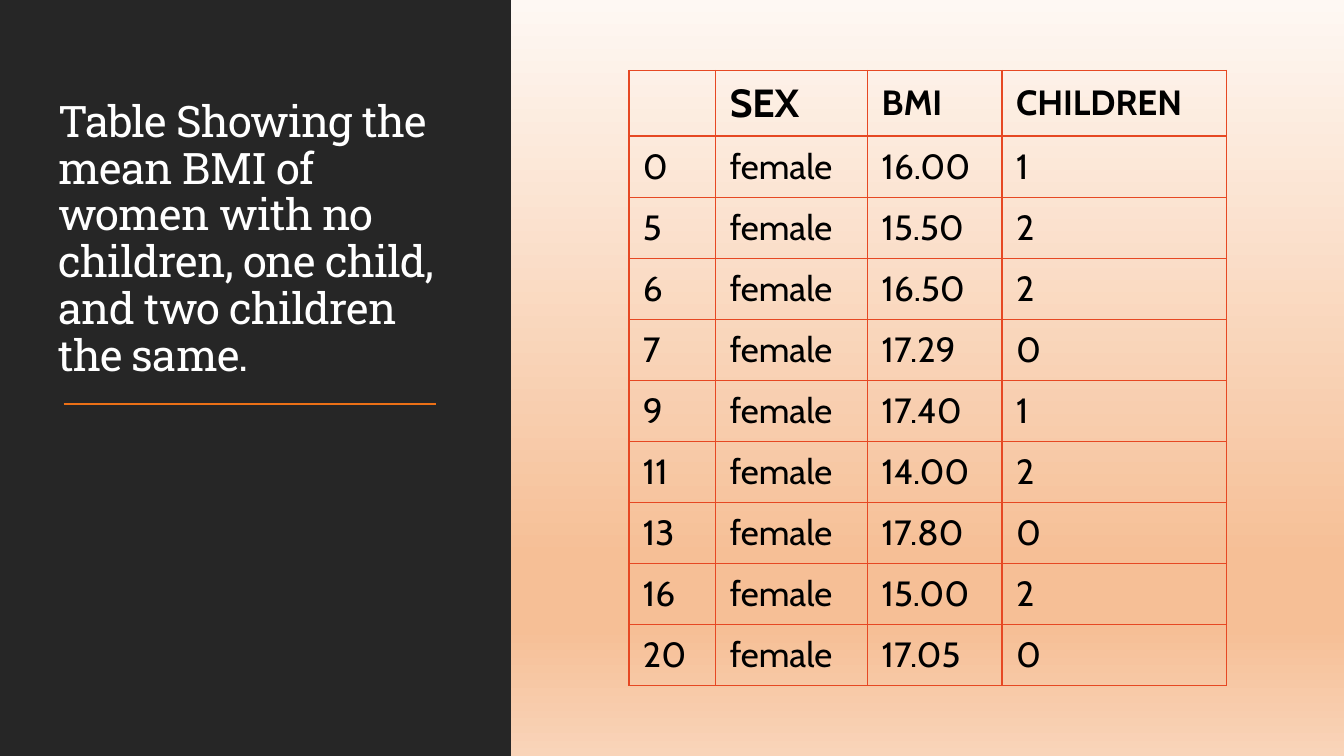
from lxml.etree import SubElement
from pptx import Presentation
from pptx.dml.color import RGBColor
from pptx.enum.shapes import MSO_CONNECTOR as CONNECTOR, MSO_SHAPE as SHAPE
from pptx.enum.text import MSO_ANCHOR as ANCHOR, MSO_AUTO_SIZE as AUTO_SIZE, PP_ALIGN as ALIGN
from pptx.oxml import parse_xml
from pptx.oxml.ns import nsdecls, qn
from pptx.util import Pt

BACKDROP_STOPS = [(0, "FEF8F3"), (74, "F6BF96"), (83, "F6BF96"), (100, "F9D4B9")]
DARK, WHITE, BLACK = "262626", "FFFFFF", "000000"
ACCENT, GRID = "EC7016", "E64823"

TITLE = ("Table Showing the mean BMI of women with no children, "
         "one child, and two children the same.")
HEADINGS = ["", "SEX", "BMI", "CHILDREN"]
RECORDS = [
    ("0", "16.00", "1"),
    ("5", "15.50", "2"),
    ("6", "16.50", "2"),
    ("7", "17.29", "0"),
    ("9", "17.40", "1"),
    ("11", "14.00", "2"),
    ("13", "17.80", "0"),
    ("16", "15.00", "2"),
    ("20", "17.05", "0"),
]
COLUMN_WIDTHS = [62, 108.5, 96, 160.5]
HEADER_HEIGHT, ROW_HEIGHT = 46.8, 43.6


def rgb(value):
    return RGBColor.from_string(value)


def set_font(paragraph, name, size, color, bold=False):
    for run in paragraph.runs:
        run.font.name = name
        run.font.size = Pt(size)
        run.font.bold = bold
        run.font.color.rgb = rgb(color)


def paint_backdrop(slide):
    fill = slide.background.fill
    fill.gradient()
    fill.gradient_angle = 270  # top to bottom
    stop_list = next(slide.element.iter(qn("a:gsLst")))
    for stop in list(stop_list):
        stop_list.remove(stop)
    for position, color in BACKDROP_STOPS:
        stop = SubElement(stop_list, qn("a:gs"), pos=str(position * 1000))
        SubElement(stop, qn("a:srgbClr"), val=color)


def add_side_panel(slide):
    panel = slide.shapes.add_shape(SHAPE.RECTANGLE, Pt(-0.7), Pt(0), Pt(365.7), Pt(540))
    panel.shadow.inherit = False
    panel.fill.solid()
    panel.fill.fore_color.rgb = rgb(DARK)
    panel.line.fill.background()
    # The panel lies behind the title
    slide.shapes.title.element.addprevious(panel.element)


def format_title(slide):
    title = slide.shapes.title
    title.left, title.top, title.width, title.height = Pt(34.6), Pt(50.4), Pt(288), Pt(225.4)
    frame = title.text_frame
    frame.text = TITLE
    frame.word_wrap = True
    frame.auto_size = AUTO_SIZE.NONE
    frame.vertical_anchor = ANCHOR.BOTTOM
    paragraph = frame.paragraphs[0]
    paragraph.alignment = ALIGN.LEFT
    paragraph.line_spacing = 0.9
    paragraph.space_before = Pt(0)
    paragraph.space_after = Pt(6)
    set_font(paragraph, "Roboto Slab", 31, WHITE)
    for run in paragraph.runs:
        run.font._element.set("spc", "-50")


def add_rule(slide, left, right, y):
    rule = slide.shapes.add_connector(CONNECTOR.STRAIGHT, Pt(left), Pt(y), Pt(right), Pt(y))
    rule.line.color.rgb = rgb(ACCENT)
    rule.line.width = Pt(1.5)
    SubElement(rule.element.spPr, qn("a:effectLst"))


def set_borders(cell, widths):
    properties = cell._tc.get_or_add_tcPr()
    for side, width in widths.items():
        properties.append(parse_xml(
            f'<a:ln{side} {nsdecls("a")} w="{Pt(width)}"><a:solidFill>'
            f'<a:srgbClr val="{GRID}"/></a:solidFill></a:ln{side}>'))


def format_cell(cell, text, row, size):
    cell.text = text
    cell.vertical_anchor = ANCHOR.MIDDLE
    cell.margin_left = cell.margin_right = Pt(10)
    cell.margin_top = cell.margin_bottom = Pt(5)
    set_font(cell.text_frame.paragraphs[0], "Cabin", size, BLACK, bold=row == 0)
    # The line under the headings is heavier
    set_borders(cell, {"L": 1, "R": 1, "T": 2 if row == 1 else 1, "B": 2 if row == 0 else 1})
    cell.fill.background()


def add_bmi_table(slide):
    rows = [HEADINGS] + [(index, "female", bmi, children) for index, bmi, children in RECORDS]
    height = HEADER_HEIGHT + ROW_HEIGHT * len(RECORDS)
    table = slide.shapes.add_table(len(rows), len(HEADINGS), Pt(449.3), Pt(50.4),
                                   Pt(sum(COLUMN_WIDTHS)), Pt(height)).table
    table.first_row = table.horz_banding = False
    for column, width in zip(table.columns, COLUMN_WIDTHS):
        column.width = Pt(width)
    for row, values in enumerate(rows):
        table.rows[row].height = Pt(ROW_HEIGHT if row else HEADER_HEIGHT)
        for column, text in enumerate(values):
            format_cell(table.cell(row, column), text, row, 28 if text == "SEX" else 25)


def main():
    deck = Presentation()
    deck.slide_width, deck.slide_height = Pt(960), Pt(540)
    slide = deck.slides.add_slide(deck.slide_layouts[5])
    paint_backdrop(slide)
    # Left side: panel, title and rule
    add_side_panel(slide)
    format_title(slide)
    add_rule(slide, 45.4, 311.8, 288.7)
    # Right side: BMI records
    add_bmi_table(slide)
    deck.save("out.pptx")


if __name__ == "__main__":
    main()
